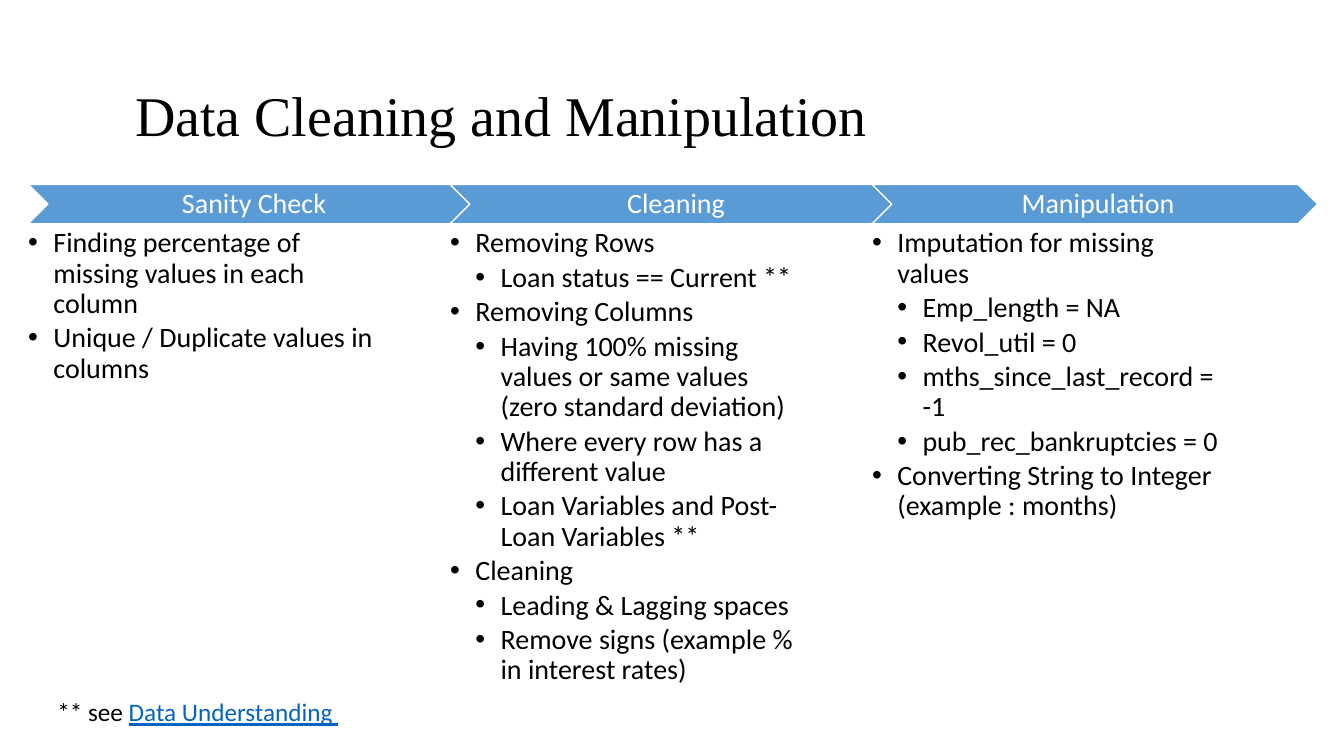
from dataclasses import dataclass

from lxml import etree
from pptx import Presentation
from pptx.dml.color import RGBColor
from pptx.enum import shapes, text
from pptx.oxml.ns import qn
from pptx.util import Inches, Pt

TITLE = "Data Cleaning and Manipulation"
STAGES = [
    ("Sanity Check", [
        (0, "Finding percentage of missing values in each column"),
        (0, "Unique / Duplicate values in columns"),
    ]),
    ("Cleaning", [
        (0, "Removing Rows"),
        (1, "Loan status == Current **"),
        (0, "Removing Columns"),
        (1, "Having 100% missing values or same values (zero standard deviation)"),
        (1, "Where every row has a different value"),
        (1, "Loan Variables and Post-Loan Variables **"),
        (0, "Cleaning"),
        (1, "Leading & Lagging spaces"),
        (1, "Remove signs (example % in interest rates)"),
    ]),
    ("Manipulation", [
        (0, "Imputation for missing values"),
        (1, "Emp_length = NA"),
        (1, "Revol_util = 0"),
        (1, "mths_since_last_record = -1"),
        (1, "pub_rec_bankruptcies = 0"),
        (0, "Converting String to Integer (example : months)"),
    ]),
]
FOOTNOTE = ("** see ", "Data Understanding ")


@dataclass(frozen=True)
class Theme:
    ink: RGBColor = RGBColor(0, 0, 0)
    paper: RGBColor = RGBColor(255, 255, 255)
    stage: RGBColor = RGBColor(0x5B, 0x9B, 0xD5)
    reference: RGBColor = RGBColor(0x05, 0x63, 0xC1)
    heading_font: str = "Times New Roman"
    body_font: str = "Calibri"
    heading_size: int = 40
    body_size: int = 20
    footnote_size: int = 18


THEME = Theme()
STAGE_LEFT, STAGE_PITCH = 0.28, 4.185
STAGE_TOP, STAGE_WIDTH, STAGE_HEIGHT = 1.83, 4.42, 0.39
STEPS_TOP, STEPS_WIDTH, STEPS_HEIGHT = 2.27, 3.54, 2.86
INDENT = 0.25


def box(*lengths):
    return [Inches(length) for length in lengths]


def set_insets(frame, left, top, right, bottom):
    frame.margin_left, frame.margin_top, frame.margin_right, frame.margin_bottom = box(
        left, top, right, bottom)


def style(paragraph, size, color, font=THEME.body_font):
    paragraph.font.name = font
    paragraph.font.size = Pt(size)
    paragraph.font.color.rgb = color


def add_bullet(paragraph, depth):
    paragraph.level = depth
    props = paragraph._p.get_or_add_pPr()
    props.set("marL", str(Inches(INDENT * (depth + 1))))
    props.set("indent", str(Inches(-INDENT)))
    etree.SubElement(props, qn("a:buFont")).set("typeface", "Arial")
    etree.SubElement(props, qn("a:buChar")).set("char", "•")


def add_title(slide):
    title = slide.shapes.title
    title.left, title.top, title.width, title.height = box(1.24, 0.7, 10.19, 0.94)
    frame = title.text_frame
    frame.text = TITLE
    frame.auto_size = text.MSO_AUTO_SIZE.NONE
    frame.vertical_anchor = text.MSO_ANCHOR.MIDDLE
    heading = frame.paragraphs[0]
    heading.alignment = text.PP_ALIGN.LEFT
    heading.line_spacing = 0.9
    style(heading, THEME.heading_size, THEME.ink, THEME.heading_font)


def add_stage(slide, left, name):
    stage = slide.shapes.add_shape(
        shapes.MSO_SHAPE.CHEVRON, *box(left, STAGE_TOP, STAGE_WIDTH, STAGE_HEIGHT))
    stage.shadow.inherit = False
    stage.fill.solid()
    stage.fill.fore_color.rgb = THEME.stage
    stage.line.color.rgb = THEME.paper
    stage.line.width = Pt(1)
    frame = stage.text_frame
    frame.text = name
    frame.word_wrap = True
    frame.vertical_anchor = text.MSO_ANCHOR.MIDDLE
    set_insets(frame, 0.09, 0.03, 0.03, 0.03)
    label = frame.paragraphs[0]
    label.alignment = text.PP_ALIGN.CENTER
    label.line_spacing = 0.9
    style(label, THEME.body_size, THEME.paper)


def add_steps(slide, left, steps):
    frame = slide.shapes.add_textbox(
        *box(left, STEPS_TOP, STEPS_WIDTH, STEPS_HEIGHT)).text_frame
    frame.word_wrap = True
    set_insets(frame, 0, 0, 0, 0)
    frame.text = "\n".join(step for _, step in steps)
    for paragraph, (depth, _) in zip(frame.paragraphs, steps):
        paragraph.line_spacing = 0.9
        paragraph.space_after = Pt(THEME.body_size * 0.15)
        add_bullet(paragraph, depth)
        style(paragraph, THEME.body_size, THEME.ink)


def add_footnote(slide):
    frame = slide.shapes.add_textbox(*box(0.47, 6.86, 3.97, 0.4)).text_frame
    frame.word_wrap = True
    note = frame.paragraphs[0]
    style(note, THEME.footnote_size, THEME.ink)
    marker, reference = (note.add_run() for _ in FOOTNOTE)
    marker.text, reference.text = FOOTNOTE
    reference.font.color.rgb = THEME.reference
    reference.font.underline = True


def main():
    deck = Presentation()
    deck.slide_width, deck.slide_height = box(13.33, 7.5)
    slide = deck.slides.add_slide(deck.slide_layouts.get_by_name("Title Only"))
    add_title(slide)
    for index, (name, steps) in enumerate(STAGES):
        left = STAGE_LEFT + index * STAGE_PITCH
        add_stage(slide, left, name)
        add_steps(slide, left, steps)
    add_footnote(slide)
    deck.save("out.pptx")


if __name__ == "__main__":
    main()
